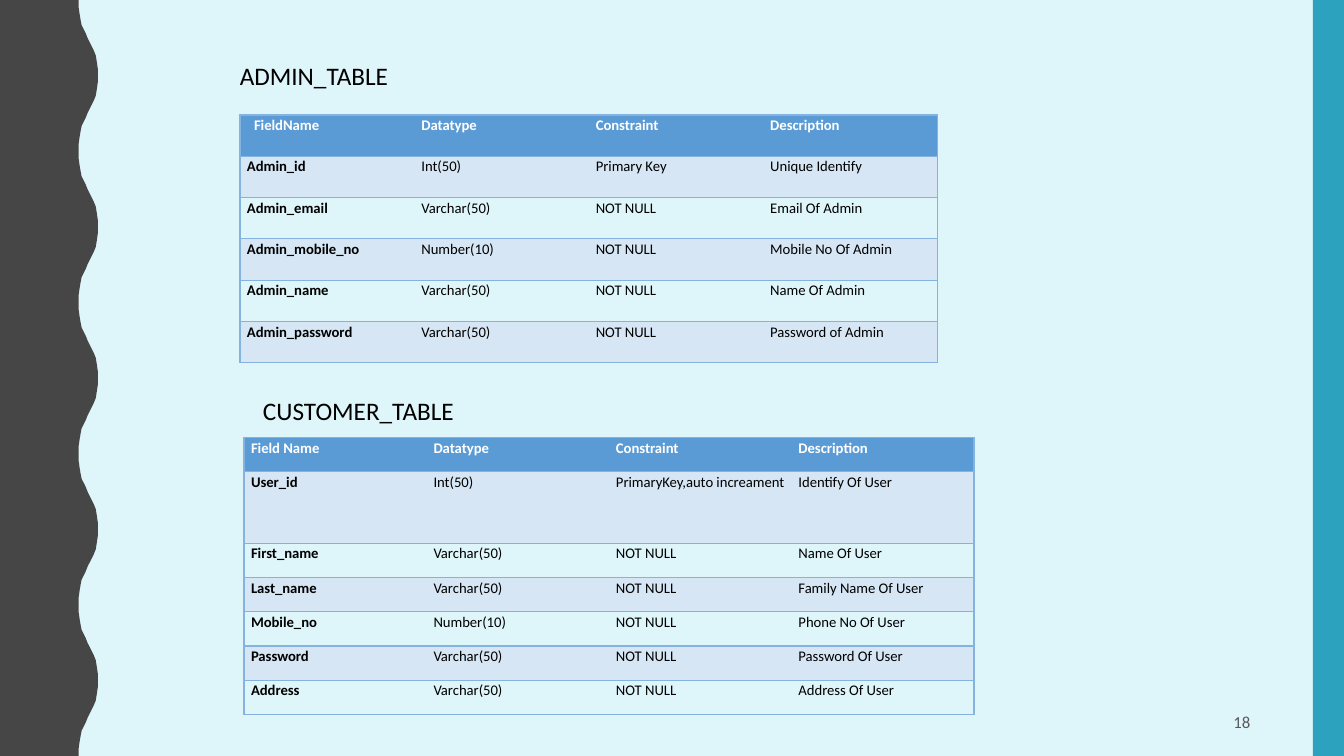
from dataclasses import dataclass

from lxml.etree import SubElement
from pptx import Presentation
from pptx.dml.color import RGBColor
from pptx.enum.shapes import MSO_SHAPE
from pptx.enum.text import MSO_ANCHOR, PP_ALIGN
from pptx.oxml.ns import qn
from pptx.slide import Slide
from pptx.table import _Cell
from pptx.util import Inches, Pt

COLORS = {
    "background": "DEF5FA", "wave": "464646", "stripe": "2DA2BF",
    "header": "5B9BD5", "band": "D6E6F4", "border": "84B3DF",
    "white": "FFFFFF", "black": "000000", "number": "595959",
}
FONT = "Calibri"
NO_STYLE_NO_GRID = "{2D5ABB26-0587-4C30-8999-92F81FD0307C}"
PAGE_WIDTH, PAGE_HEIGHT = 13.33, 7.5

# Left-to-right swing of the wave: (x, y) from trough to crest
HALF_WAVE = [
    (0.78, 0), (0.78, 0.07), (0.79, 0.14), (0.8, 0.2), (0.81, 0.25),
    (0.83, 0.29), (0.85, 0.33), (0.87, 0.38), (0.89, 0.42), (0.91, 0.46),
    (0.93, 0.5), (0.95, 0.55), (0.96, 0.61), (0.97, 0.68), (0.97, 0.75),
]
WAVE_LENGTH, WAVE_COUNT = 1.5, 5


@dataclass
class Label:
    text: str
    left: float
    top: float
    width: float
    height: float
    size: float = 18
    color: str = "black"
    align: PP_ALIGN = PP_ALIGN.LEFT
    anchor: MSO_ANCHOR = MSO_ANCHOR.TOP
    wrap: bool = False


@dataclass
class FieldTable:
    left: float
    top: float
    column_width: float
    row_heights: list[float]
    rows: list[tuple[str, str, str, str]]
    first_header_indent: float = 0.07


LABELS = [
    Label("CUSTOMER_TABLE", 2.51, 3.87, 2.11, 0.4),
    Label("ADMIN_TABLE", 2.28, 0.55, 1.69, 0.4),
    Label("18", 9.42, 6.97, 3.08, 0.38, 12, "number",
          PP_ALIGN.RIGHT, MSO_ANCHOR.MIDDLE, True),
]

TABLES = [
    FieldTable(2.38, 1.14, 1.73, [0.41] * 6, [
        ("FieldName", "Datatype", "Constraint", "Description"),
        ("Admin_id", "Int(50)", "Primary Key", "Unique Identify"),
        ("Admin_email", "Varchar(50)", "NOT NULL", "Email Of Admin"),
        ("Admin_mobile_no", "Number(10)", "NOT NULL", "Mobile No Of Admin"),
        ("Admin_name", "Varchar(50)", "NOT NULL", "Name Of Admin"),
        ("Admin_password", "Varchar(50)", "NOT NULL", "Password of Admin"),
    ], first_header_indent=0.14),
    FieldTable(2.42, 4.34, 1.81, [0.34, 0.71] + [0.34] * 5, [
        ("Field Name", "Datatype", "Constraint", "Description"),
        ("User_id", "Int(50)", "PrimaryKey,auto increament", "Identify Of User"),
        ("First_name", "Varchar(50)", "NOT NULL", "Name Of User"),
        ("Last_name", "Varchar(50)", "NOT NULL", "Family Name Of User"),
        ("Mobile_no", "Number(10)", "NOT NULL", "Phone No Of User"),
        ("Password", "Varchar(50)", "NOT NULL", "Password Of User"),
        ("Address", "Varchar(50)", "NOT NULL", "Address Of User"),
    ]),
]


def rgb(name: str) -> RGBColor:
    return RGBColor.from_string(COLORS[name])


def add_wave(page: Slide) -> None:
    falling = [(x, WAVE_LENGTH - y) for x, y in reversed(HALF_WAVE[:-1])]
    one_wave = HALF_WAVE + falling
    edge = [(Inches(x), Inches(y + i * WAVE_LENGTH))
            for i in range(WAVE_COUNT) for x, y in one_wave]
    builder = page.shapes.build_freeform(0, 0)
    builder.add_line_segments(edge + [(0, Inches(PAGE_HEIGHT))], close=True)
    wave = builder.convert_to_shape()
    wave.shadow.inherit = False
    wave.fill.solid()
    wave.fill.fore_color.rgb = rgb("wave")
    wave.line.fill.background()


def add_stripe(page: Slide) -> None:
    stripe = page.shapes.add_shape(
        MSO_SHAPE.RECTANGLE, Inches(13.02), 0, Inches(0.31), Inches(PAGE_HEIGHT))
    stripe.shadow.inherit = False
    stripe.fill.solid()
    stripe.fill.fore_color.rgb = rgb("stripe")
    stripe.line.fill.background()


def add_label(page: Slide, label: Label) -> None:
    box = page.shapes.add_textbox(Inches(label.left), Inches(label.top),
                                  Inches(label.width), Inches(label.height))
    box.text_frame.word_wrap = label.wrap
    box.text_frame.vertical_anchor = label.anchor
    para = box.text_frame.paragraphs[0]
    para.text = label.text
    para.alignment = label.align
    para.font.name = FONT
    para.font.size = Pt(label.size)
    para.font.color.rgb = rgb(label.color)


def add_borders(cell: _Cell, sides: list[str]) -> None:
    properties = cell._tc.get_or_add_tcPr()
    for side in sides:
        line = SubElement(properties, qn(f"a:ln{side}"), w=str(Pt(1)))
        fill = SubElement(line, qn("a:solidFill"))
        SubElement(fill, qn("a:srgbClr"), val=COLORS["border"])


def format_cell(cell: _Cell, text: str, row: int, column: int, last: int) -> None:
    # Lines come before the fill in the cell properties
    sides = ["L"] * (column == 0) + ["R"] * (column == last) + ["T", "B"]
    add_borders(cell, sides)
    if row == 0 or row % 2:
        cell.fill.solid()
        cell.fill.fore_color.rgb = rgb("band" if row else "header")
    else:
        cell.fill.background()
    cell.margin_left = cell.margin_right = Inches(0.07)
    cell.margin_top = cell.margin_bottom = 0
    para = cell.text_frame.paragraphs[0]
    para.text = text
    para.line_spacing = 1.1
    para.font.name = FONT
    para.font.size = Pt(10.5)
    para.font.bold = row == 0 or column == 0
    para.font.color.rgb = rgb("black" if row else "white")


def add_field_table(page: Slide, fields: FieldTable) -> None:
    columns = len(fields.rows[0])
    frame = page.shapes.add_table(
        len(fields.rows), columns, Inches(fields.left), Inches(fields.top),
        Inches(fields.column_width * columns), Inches(sum(fields.row_heights)))
    table = frame.table
    table._tbl.tblPr.find(qn("a:tableStyleId")).text = NO_STYLE_NO_GRID
    for column in table.columns:
        column.width = Inches(fields.column_width)
    for row, height in zip(table.rows, fields.row_heights):
        row.height = Inches(height)
    for r, texts in enumerate(fields.rows):
        for c, text in enumerate(texts):
            format_cell(table.cell(r, c), text, r, c, columns - 1)
    table.cell(0, 0).margin_left = Inches(fields.first_header_indent)


def main() -> None:
    deck = Presentation()
    deck.slide_width = Inches(PAGE_WIDTH)
    deck.slide_height = Inches(PAGE_HEIGHT)
    page = deck.slides.add_slide(deck.slide_layouts[6])

    # Background and side decoration
    page.background.fill.solid()
    page.background.fill.fore_color.rgb = rgb("background")
    add_wave(page)
    add_stripe(page)

    # Tables, their titles and the page number
    for fields in TABLES:
        add_field_table(page, fields)
    for label in LABELS:
        add_label(page, label)

    deck.save("out.pptx")


if __name__ == "__main__":
    main()
